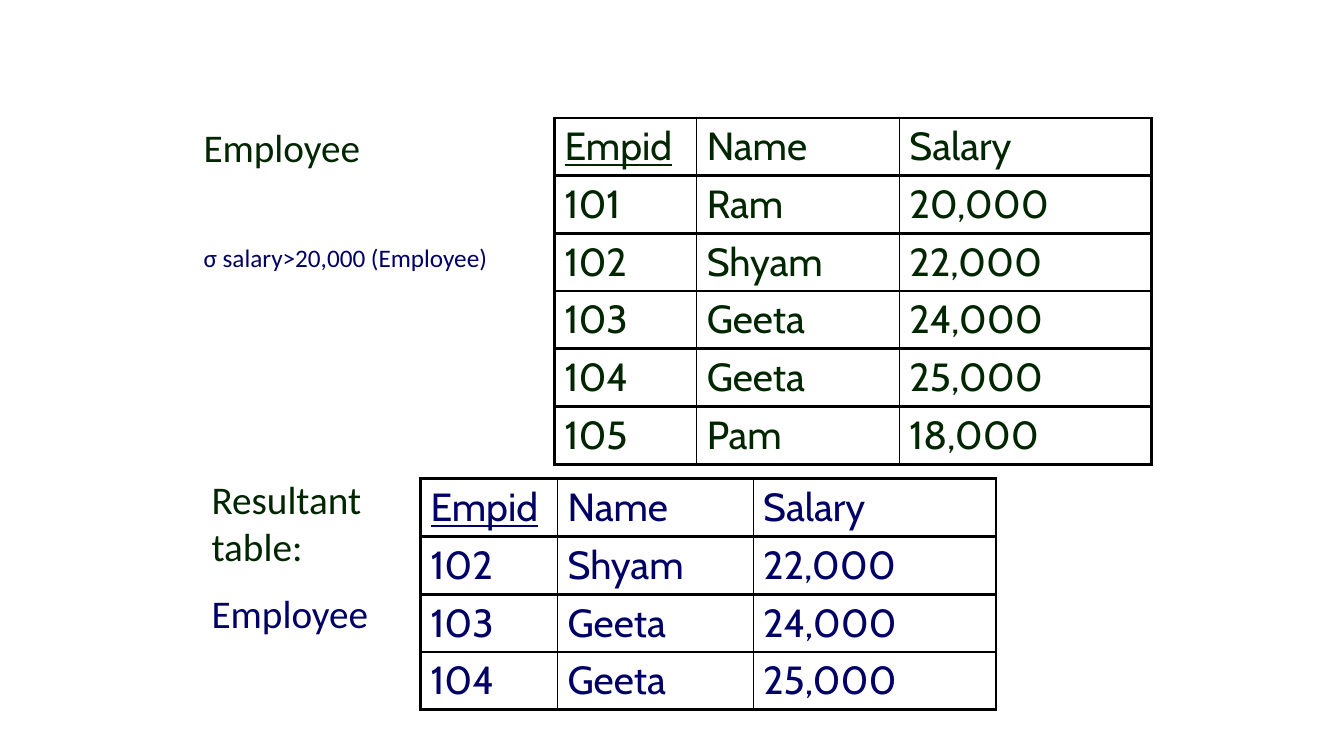
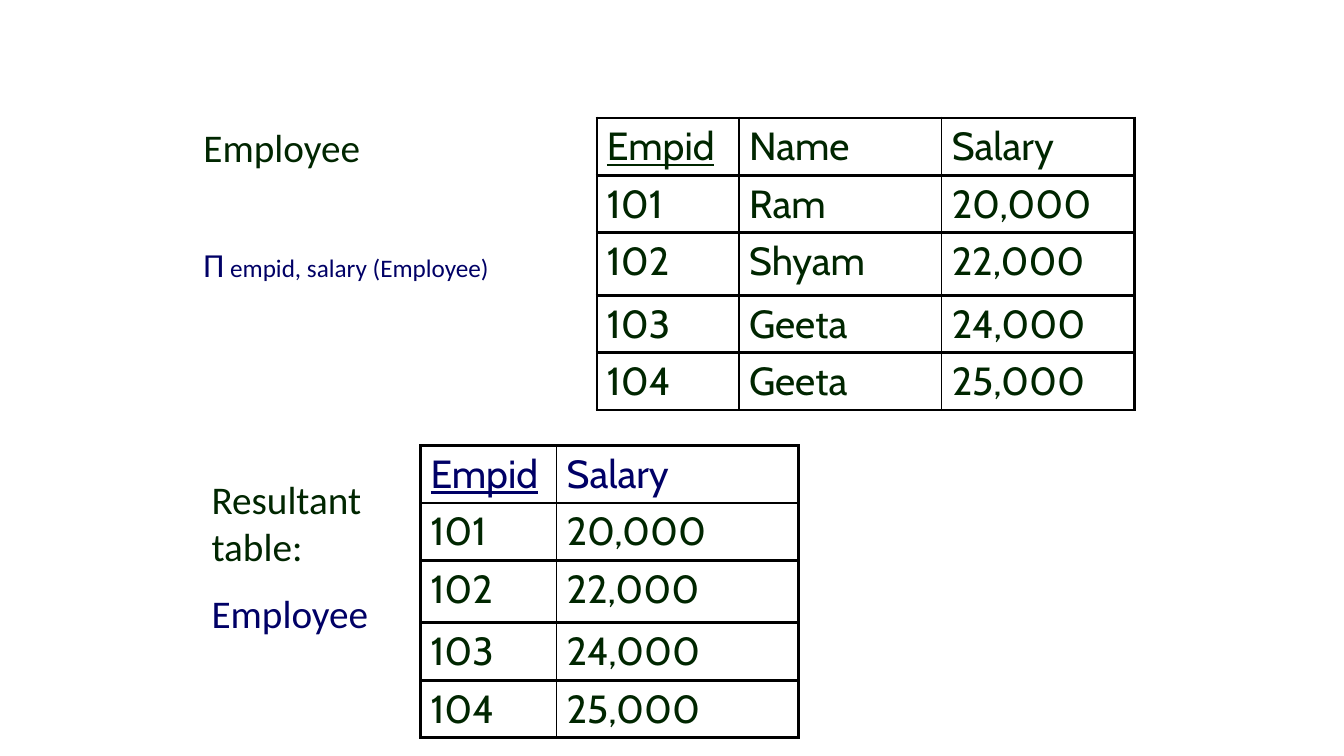
from lxml.etree import SubElement as Sub
from pptx import Presentation
from pptx.dml.color import RGBColor as RGB
from pptx.enum.text import MSO_AUTO_SIZE as Fit
from pptx.oxml.ns import qn
from pptx.util import Inches, Pt

HUES = {"green": "002600", "blue": "000066", "line": "000000"}
THICK, THIN = 2.25, 1
ROW, TALL = 0.57, 0.62

STAFF = [
    ("Empid", "Name", "Salary"),
    ("101", "Ram", "20,000"),
    ("102", "Shyam", "22,000"),
    ("103", "Geeta", "24,000"),
    ("104", "Geeta", "25,000"),
    ("105", "Pam", "18,000"),
]


def add_run(para, text, hue, size=28, face="Calibri", under=False):
    """Append one styled run to a paragraph."""
    run = para.add_run()
    run.text = text
    look = {"name": face, "size": Pt(size), "underline": under}
    for key, value in look.items():
        setattr(run.font, key, value)
    run.font.color.rgb = RGB.from_string(HUES[hue])


def add_text(slide, box, paras):
    """Add a text box from pairs of space before and runs."""
    frame = slide.shapes.add_textbox(*map(Inches, box)).text_frame
    look = {"word_wrap": True, "auto_size": Fit.SHAPE_TO_FIT_TEXT}
    for key, value in look.items():
        setattr(frame, key, value)
    for num, (gap, runs) in enumerate(paras):
        para = frame.add_paragraph() if num else frame.paragraphs[0]
        para.space_before = Pt(gap)
        for run in runs:
            add_run(para, *run)


def set_edge(cell, first, last):
    """Draw the four borders of a cell, thin between columns."""
    edges = {
        "L": THICK if first else THIN,
        "R": THICK if last else THIN,
        "T": THICK,
        "B": THICK,
    }
    props = cell._tc.get_or_add_tcPr()
    for side, width in edges.items():
        line = Sub(props, qn(f"a:ln{side}"), w=str(Pt(width)))
        fill = Sub(line, qn("a:solidFill"))
        Sub(fill, qn("a:srgbClr"), val=HUES["line"])


def add_grid(slide, left, top, cols, data, head, body, tall=None):
    """Add a ruled table whose first heading is underlined."""
    rows = [TALL if num == tall else ROW for num in range(len(data))]
    size = map(Inches, (left, top, sum(cols), sum(rows)))
    table = slide.shapes.add_table(len(rows), len(cols), *size).table
    for key in ("first_row", "horz_banding"):
        setattr(table, key, False)
    for col, width in zip(table.columns, cols):
        col.width = Inches(width)
    for row, high in zip(table.rows, rows):
        row.height = Inches(high)
    for r, row in enumerate(data):
        for c, text in enumerate(row):
            cell = table.cell(r, c)
            set_edge(cell, c == 0, c == len(cols) - 1)
            cell.fill.background()
            hue = body if r else head
            para = cell.text_frame.paragraphs[0]
            add_run(para, text, hue, face="Cabin", under=r == c == 0)


def add_notes(slide, width, gap, query):
    """Add the source label with its query, and the result label."""
    add_text(slide, (1.92, 1.17, width, 2.35), [
        (0, [("Employee", "green")]),
        (gap, query),
    ])
    add_text(slide, (2, 4.67, 1.92, 1.74), [
        (0, [("Resultant table:", "green")]),
        (14, [("Employee", "blue")]),
    ])


def add_select(slide):
    """Show the selection of rows by salary."""
    add_grid(slide, 5.5, 1.17, (1.41, 2.01, 2.5), STAFF, "green", "green")
    add_grid(slide, 4.17, 4.75, (1.36, 1.94, 2.41),
             STAFF[:1] + STAFF[2:5], "blue", "blue")
    add_notes(slide, 3.25, 52, [("σ salary>20,000 (Employee)", "blue", 18)])


def add_project(slide):
    """Show the projection onto two columns."""
    data = STAFF[:5]
    pairs = [(key, pay) for key, _, pay in data]
    add_grid(slide, 5.92, 1.17, (1.41, 2.01, 1.91), data,
             "green", "green", tall=2)
    add_grid(slide, 4.17, 4.42, (1.35, 2.4), pairs, "blue", "green", tall=2)
    add_notes(slide, 3.83, 53, [
        ("Π", "blue", 24),
        (" empid, salary (Employee)", "blue", 18),
    ])


def main():
    """Build and save the deck."""
    deck = Presentation()
    size = {"slide_width": 13.33, "slide_height": 7.5}
    for key, value in size.items():
        setattr(deck, key, Inches(value))
    for build in (add_select, add_project):
        build(deck.slides.add_slide(deck.slide_layouts[6]))
    deck.save("out.pptx")


if __name__ == "__main__":
    main()
